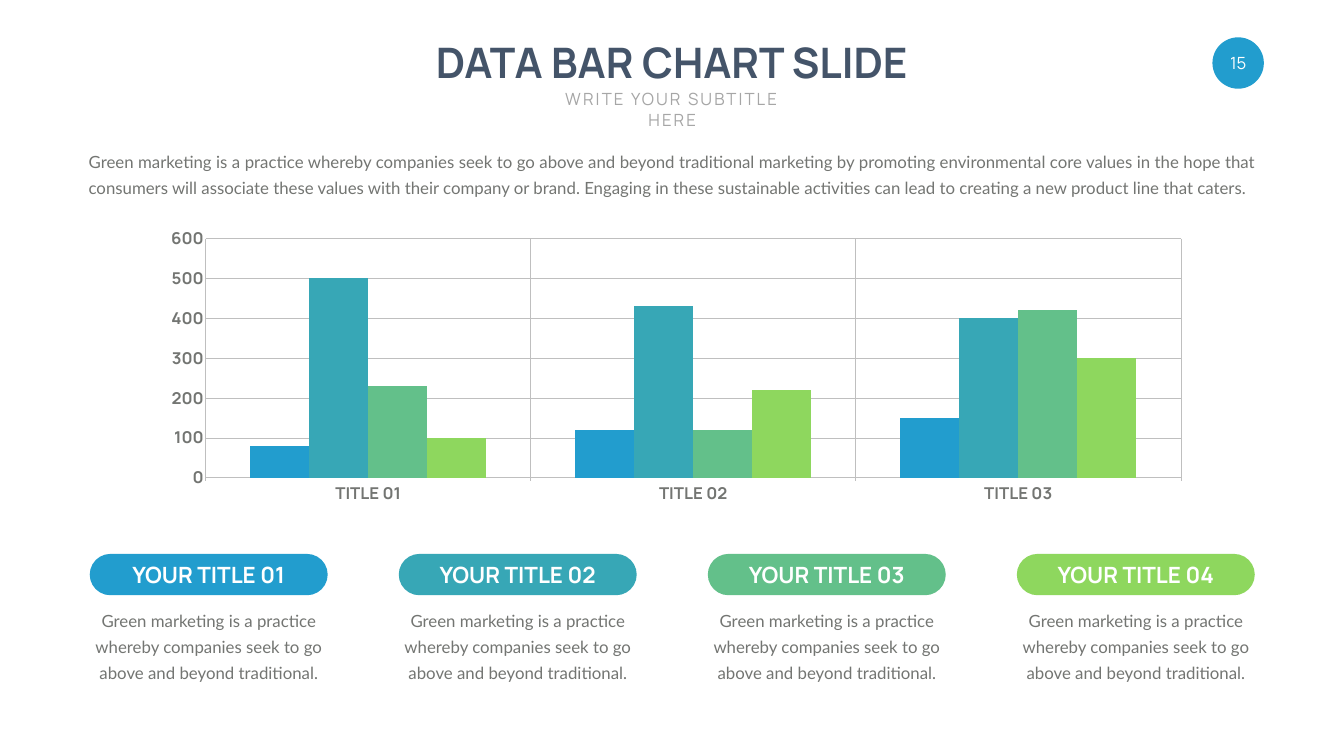
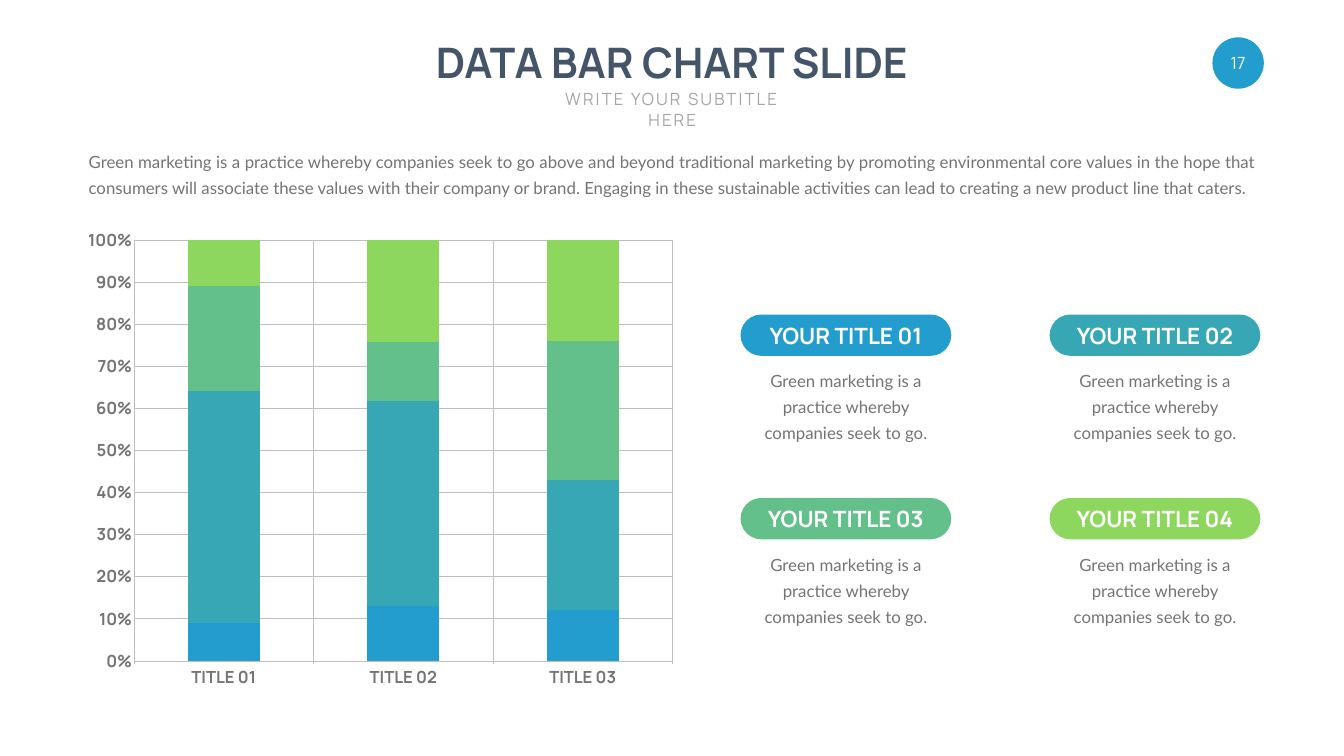
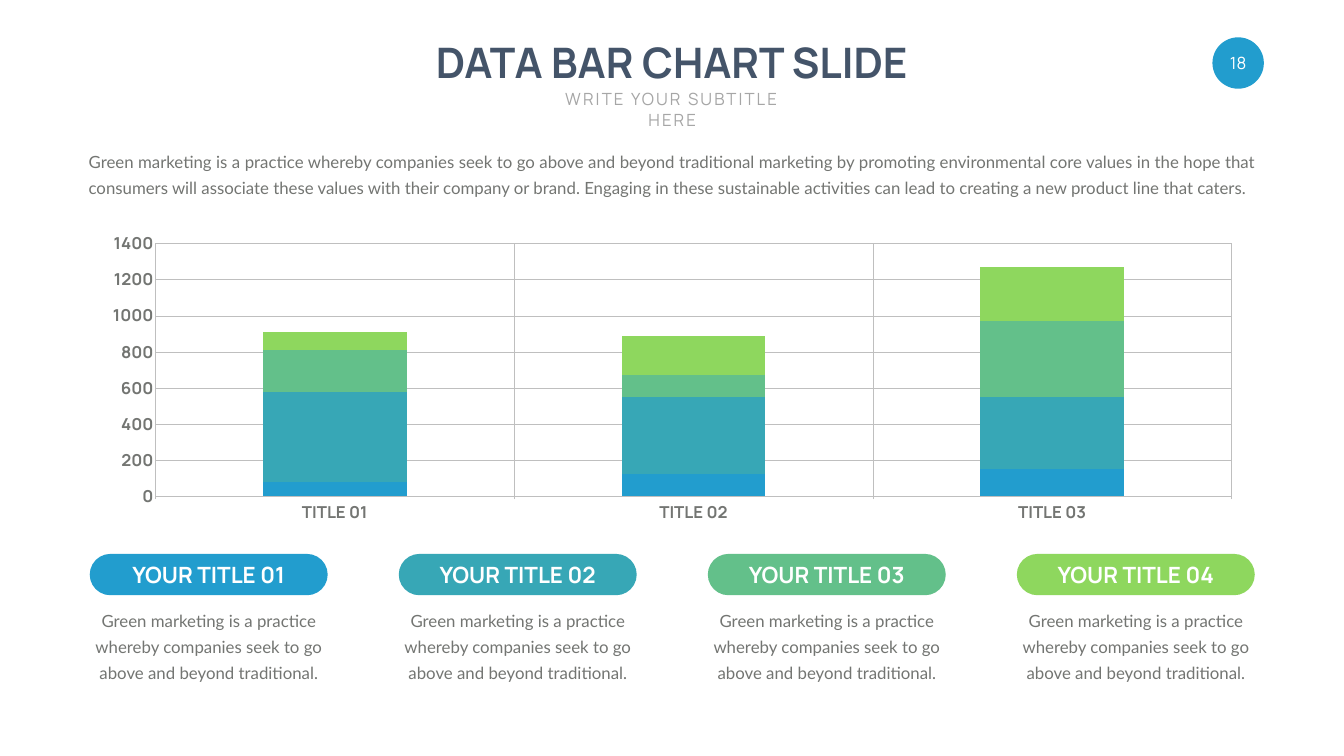
from dataclasses import dataclass

from lxml.etree import SubElement
from pptx import Presentation
from pptx.chart.data import CategoryChartData
from pptx.dml.color import RGBColor
from pptx.enum.chart import XL_CHART_TYPE, XL_TICK_MARK
from pptx.enum.shapes import MSO_SHAPE
from pptx.enum.text import MSO_ANCHOR, MSO_AUTO_SIZE, PP_ALIGN
from pptx.oxml.ns import qn
from pptx.util import Inches, Pt

COLORS = {
    "blue": "229DCE",
    "teal": "37A7B6",
    "green": "63C08A",
    "lime": "8ED75E",
    "title": "445469",
    "subtitle": "A6A6A6",
    "text": "737572",
    "grid": "BFBFBF",
    "chart_text": "B9BAB8",
    "white": "FFFFFF",
}
SERIES_COLORS = ("blue", "teal", "green", "lime")
HEAD_FONT, BODY_FONT = "Manrope", "Lato"
CATEGORIES = ("TITLE 01", "TITLE 02", "TITLE 03")
AMOUNTS = ((80, 120, 150), (500, 430, 400), (230, 120, 420), (100, 220, 300))
SHARES = ((9, 13, 12), (55, 48, 31), (25, 14, 33), (11, 24, 24))
PLOT_AREA = {"x": 0.061, "y": 0.02, "w": 0.915, "h": 0.886}
COLUMN_STEP, ROW_STEP = 6.13, 3.64
PILL_HEIGHT, CARD_TEXT_OFFSET = 0.82, 0.96
INTRO = (
    "Green marketing is a practice whereby companies seek to go above and beyond "
    "traditional marketing by promoting environmental core values in the hope that "
    "consumers will associate these values with their company or brand. Engaging in "
    "these sustainable activities can lead to creating a new product line that caters."
)
SHORT_TEXT = "Green marketing is a practice whereby companies seek to go."
LONG_TEXT = "Green marketing is a practice whereby companies seek to go above and beyond traditional."


@dataclass(frozen=True)
class Box:
    left: float
    top: float
    width: float
    height: float

    def inches(self) -> tuple:
        return tuple(Inches(v) for v in (self.left, self.top, self.width, self.height))


@dataclass(frozen=True)
class BarChart:
    kind: XL_CHART_TYPE
    box: Box
    values: tuple
    maximum: float
    unit: float
    number_format: str = "General"


@dataclass(frozen=True)
class CardGrid:
    left: float
    top: float
    width: float
    columns: int
    text: str


@dataclass(frozen=True)
class ChartSlide:
    number: int
    chart: BarChart
    cards: CardGrid


WIDE_CARDS = CardGrid(1.78, 10.99, 4.72, 4, LONG_TEXT)
SLIDES = (
    ChartSlide(
        15,
        BarChart(XL_CHART_TYPE.COLUMN_CLUSTERED, Box(2.79, 4.51, 21.14, 5.51), AMOUNTS, 600, 100),
        WIDE_CARDS,
    ),
    ChartSlide(
        17,
        BarChart(XL_CHART_TYPE.COLUMN_STACKED_100, Box(1.75, 4.53, 11.87, 9.47), SHARES, 1, 0.1, "0%"),
        CardGrid(14.69, 6.24, 4.18, 2, SHORT_TEXT),
    ),
    ChartSlide(
        18,
        BarChart(XL_CHART_TYPE.COLUMN_STACKED, Box(1.66, 4.61, 23.33, 5.78), AMOUNTS, 1400, 200),
        WIDE_CARDS,
    ),
)


def rgb(name: str) -> RGBColor:
    return RGBColor.from_string(COLORS[name])


def format_font(font, name: str, size: float, color: str, bold: bool = False) -> None:
    font.name, font.size, font.bold = name, Pt(size), bold
    font.color.rgb = rgb(color)


def write(sp, text: str, *, font: str = HEAD_FONT, size: float = 24, color: str = "text",
          bold: bool = False, align: PP_ALIGN = PP_ALIGN.CENTER,
          anchor: MSO_ANCHOR = MSO_ANCHOR.TOP, wrap: bool = True,
          leading: float | None = None, spacing: float = 0) -> None:
    tf = sp.text_frame
    tf.auto_size = MSO_AUTO_SIZE.NONE
    tf.word_wrap = wrap
    tf.vertical_anchor = anchor
    p = tf.paragraphs[0]
    p.alignment = align
    if leading:
        p.line_spacing = Pt(leading)
    r = p.add_run()
    r.text = text
    format_font(r.font, font, size, color, bold)
    if spacing:
        r._r.get_or_add_rPr().set("spc", str(int(spacing * 100)))


def add_text(s, box: Box, text: str, **style) -> None:
    write(s.shapes.add_textbox(*box.inches()), text, **style)


def add_label(s, shape: MSO_SHAPE, box: Box, fill: str, text: str, **style) -> None:
    sp = s.shapes.add_shape(shape, *box.inches())
    sp.shadow.inherit = False
    sp.fill.solid()
    sp.fill.fore_color.rgb = rgb(fill)
    sp.line.fill.background()
    if shape == MSO_SHAPE.ROUNDED_RECTANGLE:
        sp.adjustments[0] = 0.5
    write(sp, text, color="white", anchor=MSO_ANCHOR.MIDDLE, wrap=False, **style)


def add_header(s, number: int) -> None:
    title = s.shapes.title
    title.left, title.top, title.width, title.height = Box(8.34, 0.67, 9.97, 1.11).inches()
    write(title, "DATA BAR CHART SLIDE", size=60, color="title", bold=True)
    add_label(s, MSO_SHAPE.OVAL, Box(24.05, 0.74, 1.02, 1.02), "blue", str(number))
    add_text(s, Box(10.62, 1.72, 5.43, 0.5), "WRITE YOUR SUBTITLE HERE", color="subtitle", spacing=3)
    add_text(s, Box(1.66, 2.84, 23.33, 1.08), INTRO, font=BODY_FONT, align=PP_ALIGN.JUSTIFY, leading=37)


def format_axis(axis, tick: XL_TICK_MARK) -> None:
    axis.major_tick_mark, axis.minor_tick_mark = tick, XL_TICK_MARK.NONE
    axis.has_major_gridlines = True
    for line in (axis.format.line, axis.major_gridlines.format.line):
        line.color.rgb = rgb("grid")
        line.width = Pt(0.75)
    format_font(axis.tick_labels.font, HEAD_FONT, 24, "text", True)


def set_plot_area(chart) -> None:
    area = chart._chartSpace.chart.plotArea
    layout = area.find(qn("c:layout"))
    if layout is None:
        layout = SubElement(area, qn("c:layout"))
        area.insert(0, layout)
    manual = SubElement(layout, qn("c:manualLayout"))
    settings = {"layoutTarget": "inner", "xMode": "edge", "yMode": "edge", **PLOT_AREA}
    for name, value in settings.items():
        SubElement(manual, qn(f"c:{name}")).set("val", str(value))


def add_bar_chart(s, bars: BarChart) -> None:
    data = CategoryChartData()
    data.categories = CATEGORIES
    for i, values in enumerate(bars.values, 1):
        data.add_series(f"Series {i}", values)
    chart = s.shapes.add_chart(bars.kind, *bars.box.inches(), data).chart
    chart.has_title = chart.has_legend = False
    format_font(chart.font, "Calibri", 18, "chart_text")
    plot = chart.plots[0]
    plot.vary_by_categories = False
    plot.gap_width = 150
    plot.overlap = 0 if bars.kind == XL_CHART_TYPE.COLUMN_CLUSTERED else 100
    for series, color in zip(plot.series, SERIES_COLORS):
        series.format.fill.solid()
        series.format.fill.fore_color.rgb = rgb(color)
    format_axis(chart.category_axis, XL_TICK_MARK.OUTSIDE)
    axis = chart.value_axis
    format_axis(axis, XL_TICK_MARK.NONE)
    axis.minimum_scale, axis.maximum_scale, axis.major_unit = 0, bars.maximum, bars.unit
    axis.tick_labels.number_format = bars.number_format
    axis.tick_labels.number_format_is_linked = False
    set_plot_area(chart)


def add_cards(s, grid: CardGrid) -> None:
    for i, color in enumerate(SERIES_COLORS):
        row, column = divmod(i, grid.columns)
        left, top = grid.left + column * COLUMN_STEP, grid.top + row * ROW_STEP
        add_label(s, MSO_SHAPE.ROUNDED_RECTANGLE, Box(left, top, grid.width, PILL_HEIGHT),
                  color, f"YOUR TITLE {i + 1:02}", size=32, bold=True)
        add_text(s, Box(left, top + CARD_TEXT_OFFSET, grid.width, 1.6), grid.text,
                 font=BODY_FONT, leading=37)


def main() -> None:
    prs = Presentation()
    prs.slide_width, prs.slide_height = Inches(26.66), Inches(15)
    for content in SLIDES:
        s = prs.slides.add_slide(prs.slide_layouts[5])
        add_header(s, content.number)
        add_bar_chart(s, content.chart)
        add_cards(s, content.cards)
    prs.save("out.pptx")


if __name__ == "__main__":
    main()
